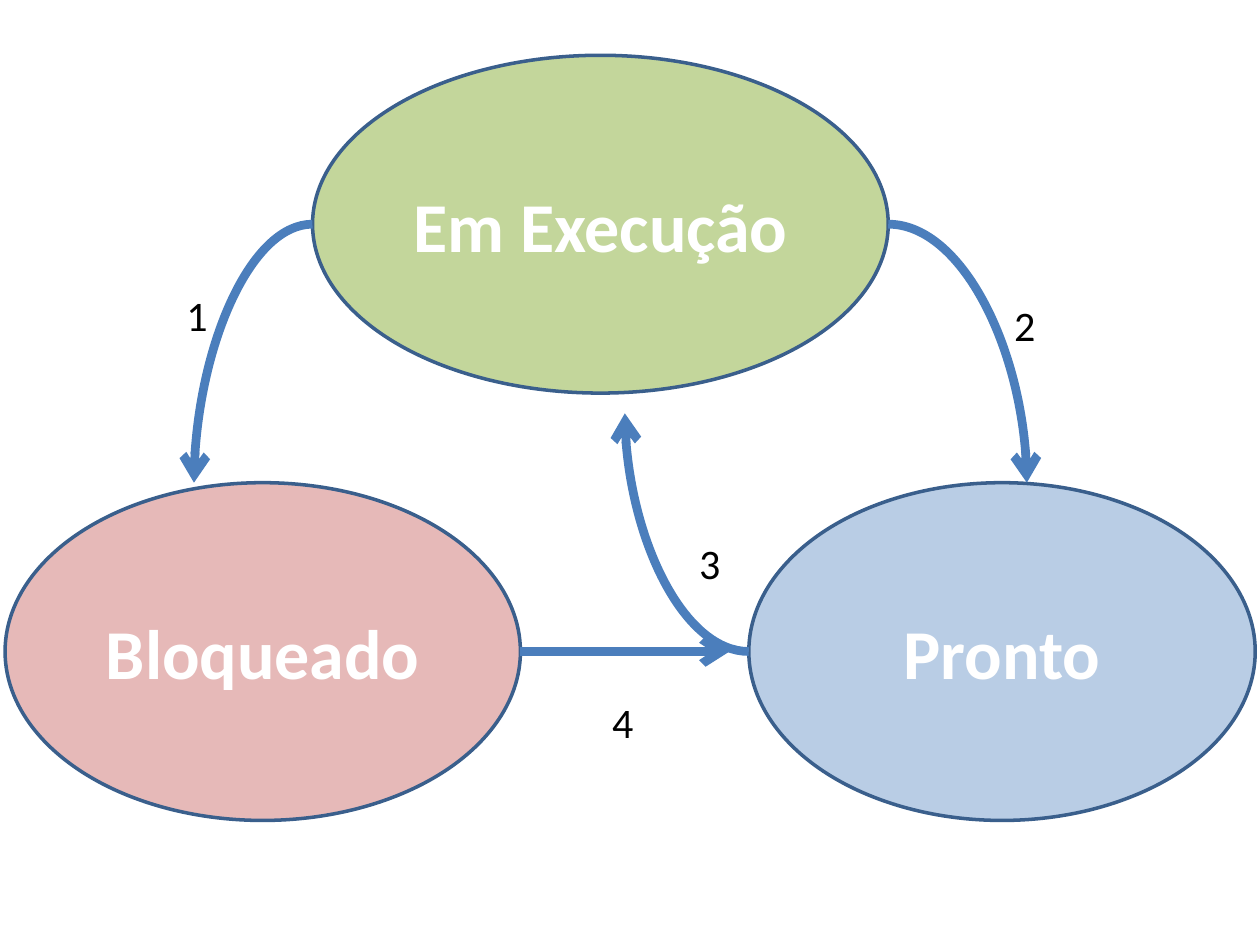
import pptx
import pptx.util
import pptx.dml.color
import pptx.enum.shapes
import pptx.enum.text
import pptx.oxml
import pptx.oxml.ns
import lxml.etree

Pt = pptx.util.Pt
RGBColor = pptx.dml.color.RGBColor
CONNECTOR = pptx.enum.shapes.MSO_CONNECTOR
qn = pptx.oxml.ns.qn

GREEN = RGBColor(0xC3, 0xD6, 0x9B)
PINK = RGBColor(0xE6, 0xB9, 0xB8)
LIGHT_BLUE = RGBColor(0xB9, 0xCD, 0xE5)
OUTLINE = RGBColor(0x3A, 0x5F, 0x8C)
ARROW = RGBColor(0x4B, 0x7E, 0xBC)
WHITE = RGBColor(0xFF, 0xFF, 0xFF)
BLACK = RGBColor(0, 0, 0)

STATE_HEIGHT = 193
TOP_ROW, BOTTOM_ROW = 31.6, 275.8
TOP_MIDDLE = TOP_ROW + STATE_HEIGHT / 2
BOTTOM_MIDDLE = BOTTOM_ROW + STATE_HEIGHT / 2

states = [
    ("Em Execução", 178.6, TOP_ROW, 329, GREEN),
    ("Bloqueado", 2.9, BOTTOM_ROW, 294.5, PINK),
    ("Pronto", 427.9, BOTTOM_ROW, 289.4, LIGHT_BLUE),
]
transitions = [
    (CONNECTOR.STRAIGHT, (297.4, BOTTOM_MIDDLE), (416.9, BOTTOM_MIDDLE)),
    (CONNECTOR.CURVE, (507.6, TOP_MIDDLE), (586.8, BOTTOM_ROW)),
    (CONNECTOR.CURVE, (427.9, BOTTOM_MIDDLE), (357.1, 236.2)),
    (CONNECTOR.CURVE, (178.6, TOP_MIDDLE), (110.9, BOTTOM_ROW)),
]
labels = [("1", 99.4, 162), ("2", 572.4, 167.8), ("3", 392.4, 303.8), ("4", 342.7, 394.6)]


def write(frame, text, size, color, bold=False):
    frame.text = text
    paragraph = frame.paragraphs[0]
    paragraph.font.name = "Calibri"
    paragraph.font.size = Pt(size)
    paragraph.font.bold = bold
    paragraph.font.color.rgb = color
    return paragraph


presentation = pptx.Presentation()
presentation.slide_width = Pt(720)
presentation.slide_height = Pt(540)
slide = presentation.slides.add_slide(presentation.slide_layouts[6])

for name, left, top, width, color in states:
    state = slide.shapes.add_shape(
        pptx.enum.shapes.MSO_SHAPE.OVAL, Pt(left), Pt(top), Pt(width), Pt(STATE_HEIGHT))
    state.shadow.inherit = False
    state.fill.solid()
    state.fill.fore_color.rgb = color
    state.line.color.rgb = OUTLINE
    state.line.width = Pt(2)
    state.text_frame.vertical_anchor = pptx.enum.text.MSO_ANCHOR.MIDDLE
    paragraph = write(state.text_frame, name, 40, WHITE, True)
    paragraph.alignment = pptx.enum.text.PP_ALIGN.CENTER

for kind, start, end in transitions:
    arrow = slide.shapes.add_connector(kind, *(Pt(value) for value in start + end))
    arrow.line.color.rgb = ARROW
    arrow.line.width = Pt(5)
    properties = arrow._element.spPr
    if kind == CONNECTOR.CURVE:
        properties.find(qn("a:prstGeom")).set("prst", "curvedConnector2")
    lxml.etree.SubElement(properties.find(qn("a:ln")), qn("a:tailEnd"), type="arrow")
    lxml.etree.SubElement(properties, qn("a:effectLst"))

for number, left, top in labels:
    label = slide.shapes.add_textbox(Pt(left), Pt(top), Pt(26.6), Pt(36))
    label.text_frame.word_wrap = False
    label.text_frame.auto_size = pptx.enum.text.MSO_AUTO_SIZE.SHAPE_TO_FIT_TEXT
    write(label.text_frame, number, 24, BLACK)

presentation.save("out.pptx")
